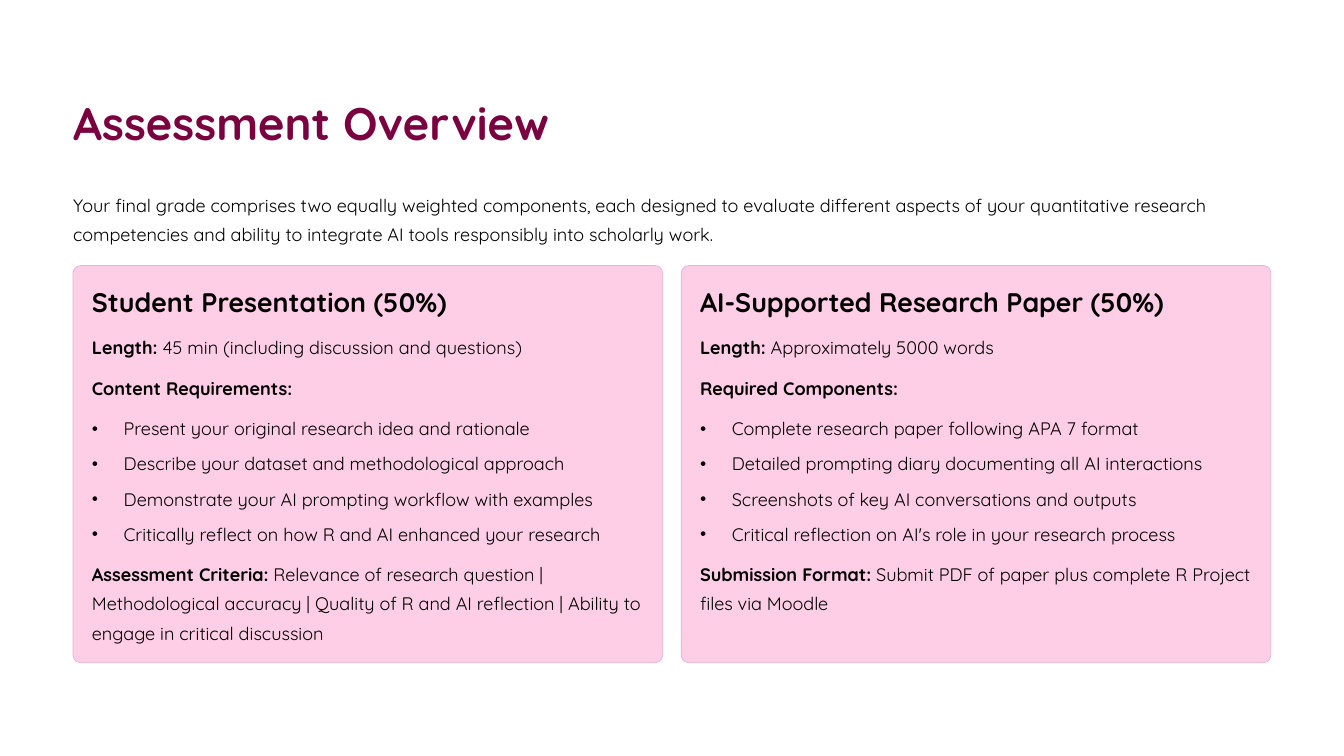
import pptx
import pptx.util
import pptx.dml.color
import pptx.enum.shapes
import pptx.oxml.ns
import lxml.etree

Cm = pptx.util.Cm
Pt = pptx.util.Pt
RGBColor = pptx.dml.color.RGBColor

BURGUNDY = RGBColor(0x7A, 0x00, 0x3F)
BLACK = RGBColor(0x00, 0x00, 0x00)
PINK = RGBColor(0xFE, 0xCD, 0xE6)
PINK_EDGE = RGBColor(0xE4, 0xB3, 0xCC)

FONT = "Quicksand"
MARGIN = 2.21
CARD_TOP = 8.03
CARD_WIDTH = 17.83
CARD_HEIGHT = 12.01
CARD_PITCH = 18.39
PADDING = 0.57
INNER_WIDTH = 16.69
LINE_HEIGHT = 0.88

presentation = pptx.Presentation()
presentation.slide_width = Cm(40.64)
presentation.slide_height = Cm(22.86)
slide = presentation.slides.add_slide(presentation.slide_layouts[6])


def add_text(*paragraphs, left, top, width, height, size=15.5, leading=25,
             color=BLACK, bold_lead=True, bullets=False, gap=0):
    frame = slide.shapes.add_textbox(Cm(left), Cm(top), Cm(width), Cm(height)).text_frame
    frame.margin_left = frame.margin_right = frame.margin_top = frame.margin_bottom = 0
    frame.word_wrap = True
    for index, (lead, rest) in enumerate(paragraphs):
        paragraph = frame.paragraphs[0] if index == 0 else frame.add_paragraph()
        if bullets:
            properties = paragraph._p.get_or_add_pPr()
            properties.set("marL", str(Cm(0.96)))
            properties.set("indent", str(-Cm(0.96)))
            bullet_font = lxml.etree.SubElement(properties, pptx.oxml.ns.qn("a:buFont"))
            bullet_font.set("typeface", FONT)
            bullet = lxml.etree.SubElement(properties, pptx.oxml.ns.qn("a:buChar"))
            bullet.set("char", "•")
        paragraph.line_spacing = Pt(leading)
        if index:
            paragraph.space_before = Pt(gap)
        for text, bold in ((lead, bold_lead), (rest, False)):
            if text:
                run = paragraph.add_run()
                run.text = text
                run.font.name = FONT
                run.font.size = Pt(size)
                run.font.bold = bold
                run.font.color.rgb = color


add_text(("Assessment Overview", ""), left=MARGIN, top=2.82, width=15, height=1.73,
         size=39, leading=48.5, color=BURGUNDY)
add_text(("", "Your final grade comprises two equally weighted components, each designed to "
              "evaluate different aspects of your quantitative research competencies and "
              "ability to integrate AI tools responsibly into scholarly work."),
         left=MARGIN, top=5.64, width=36.22, height=2 * LINE_HEIGHT)

cards = [
    {
        "heading": "Student Presentation (50%)",
        "length": " 45 min (including discussion and questions)",
        "list_title": "Content Requirements:",
        "items": [
            "Present your original research idea and rationale",
            "Describe your dataset and methodological approach",
            "Demonstrate your AI prompting workflow with examples",
            "Critically reflect on how R and AI enhanced your research",
        ],
        "closing": ("Assessment Criteria:",
                    " Relevance of research question | Methodological accuracy | Quality of R "
                    "and AI reflection | Ability to engage in critical discussion"),
        "closing_lines": 3,
    },
    {
        "heading": "AI-Supported Research Paper (50%)",
        "length": " Approximately 5000 words",
        "list_title": "Required Components:",
        "items": [
            "Complete research paper following APA 7 format",
            "Detailed prompting diary documenting all AI interactions",
            "Screenshots of key AI conversations and outputs",
            "Critical reflection on AI's role in your research process",
        ],
        "closing": ("Submission Format:",
                    " Submit PDF of paper plus complete R Project files via Moodle"),
        "closing_lines": 2,
    },
]

for column, card in enumerate(cards):
    card_left = MARGIN + column * CARD_PITCH
    text_left = card_left + PADDING

    panel = slide.shapes.add_shape(pptx.enum.shapes.MSO_SHAPE.ROUNDED_RECTANGLE,
                                   Cm(card_left), Cm(CARD_TOP), Cm(CARD_WIDTH), Cm(CARD_HEIGHT))
    panel.adjustments[0] = 0.019
    panel.shadow.inherit = False
    panel.fill.solid()
    panel.fill.fore_color.rgb = PINK
    panel.line.color.rgb = PINK_EDGE
    panel.line.width = Pt(0.6)

    add_text((card["heading"], ""), left=text_left, top=8.59,
             width=INNER_WIDTH, height=1.04, size=23, leading=29)
    add_text(("Length:", card["length"]), left=text_left, top=9.96,
             width=INNER_WIDTH, height=LINE_HEIGHT)
    add_text((card["list_title"], ""), left=text_left, top=11.18,
             width=INNER_WIDTH, height=LINE_HEIGHT)
    add_text(*[(item, "") for item in card["items"]], left=text_left, top=12.4,
             width=INNER_WIDTH, height=4.11, bold_lead=False, bullets=True, gap=5.2)
    add_text(card["closing"], left=text_left, top=16.82,
             width=INNER_WIDTH, height=card["closing_lines"] * LINE_HEIGHT)

presentation.save("out.pptx")
